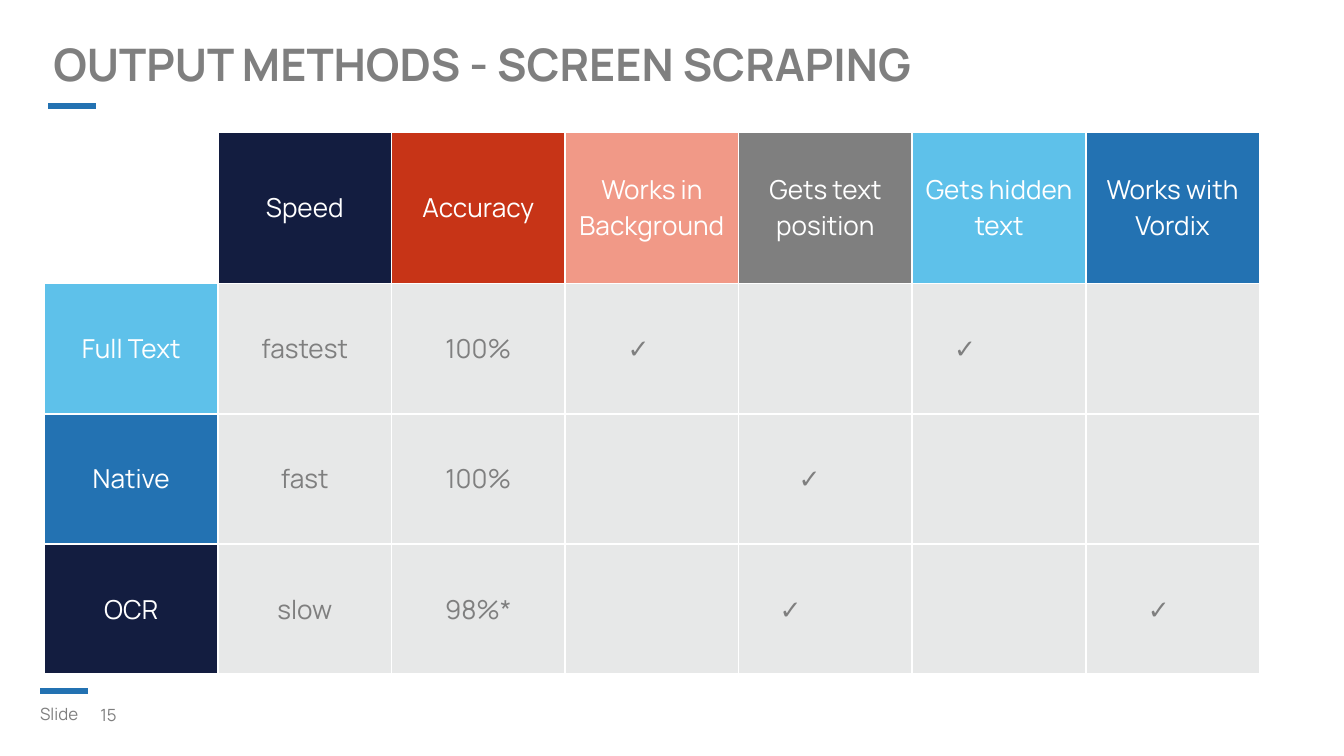
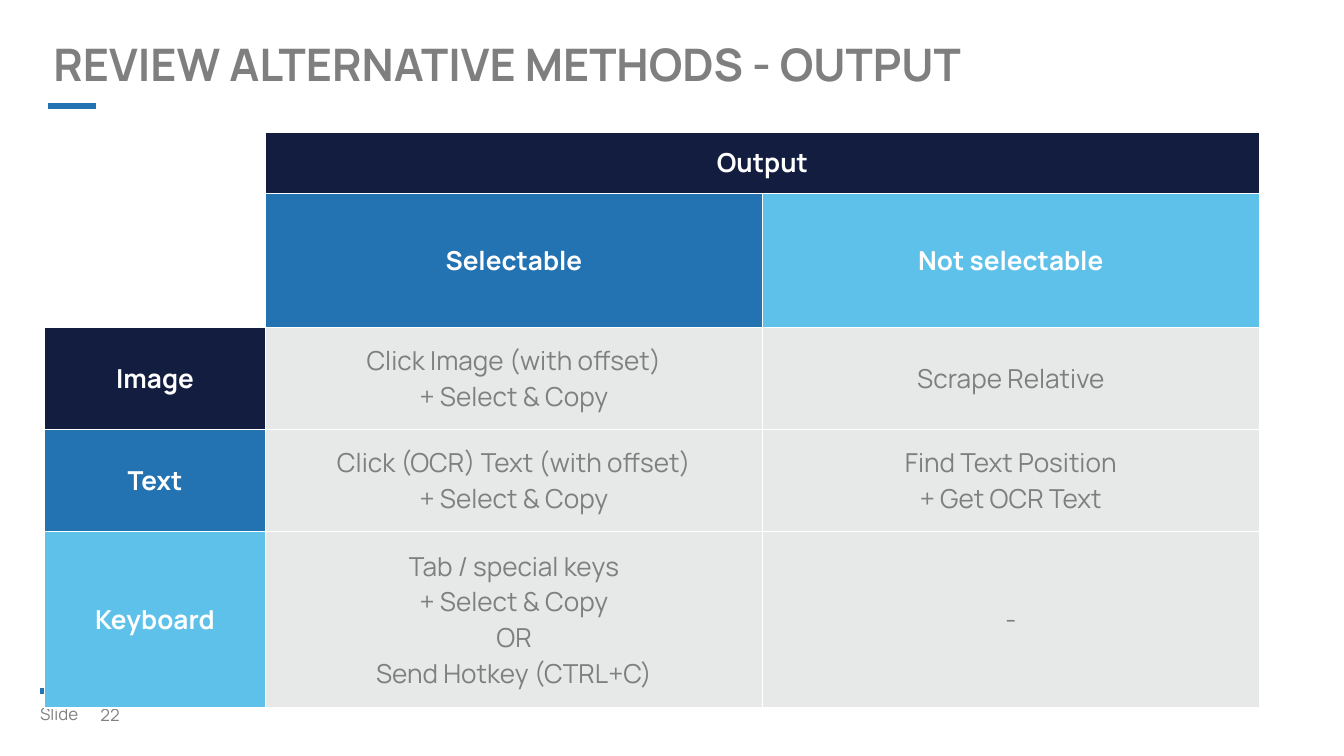
from dataclasses import dataclass

from lxml import etree
from pptx import Presentation
from pptx import util as u
from pptx.dml.color import RGBColor
from pptx.enum import shapes, text
from pptx.oxml import ns


@dataclass(frozen=True)
class Theme:
    font: str = "Manrope"
    white: str = "FFFFFF"
    navy: str = "131D40"
    blue: str = "2372B2"
    sky: str = "5EC1EA"
    red: str = "C73417"
    salmon: str = "F19987"
    grey: str = "7F7F7F"
    pale: str = "E7E8E8"
    title_size: int = 24
    table_size: int = 14
    footer_size: int = 9


THEME = Theme()
Cm = u.Cm
CELL_INSET = 0.25
TABLE_LEFT, TABLE_TOP = 0.84, 2.49
TICK = "✓"

# Headings pair a label with its fill. Body entries are labels; a tick is
# paired with how far it sits left of the column centre, in cm.
SCRAPING = {
    "title": "OUTPUT METHODS - SCREEN SCRAPING",
    "number": 15,
    "columns": [3.28] * 7,
    "rows": [2.87] + [2.46] * 3,
    "bold_headings": False,
    "merges": [],
    "headings": [
        [("", THEME.white), ("Speed", THEME.navy), ("Accuracy", THEME.red),
         ("Works in Background", THEME.salmon),
         ("Gets text position", THEME.grey),
         ("Gets hidden text", THEME.sky), ("Works with Vordix", THEME.blue)],
    ],
    "body": [
        (("Full Text", THEME.sky),
         ["fastest", "100%", (TICK, 0.25), "", (TICK, 0.64), ""]),
        (("Native", THEME.blue),
         ["fast", "100%", "", (TICK, 0.3), "", ""]),
        (("OCR", THEME.navy),
         ["slow", "98%*", "", (TICK, 0.66), "", (TICK, 0.26)]),
    ],
}

ALTERNATIVES = {
    "title": "REVIEW ALTERNATIVE METHODS - OUTPUT",
    "number": 22,
    "columns": [4.18, 9.39, 9.39],
    "rows": [1.17, 2.53, 1.93, 1.93, 3.33],
    "bold_headings": True,
    "merges": [((0, 0), (1, 0)), ((0, 1), (0, 2))],
    "headings": [
        [("", THEME.white), ("Output", THEME.navy), ("", THEME.navy)],
        [("", THEME.white), ("Selectable", THEME.blue),
         ("Not selectable", THEME.sky)],
    ],
    "body": [
        (("Image", THEME.navy),
         ["Click Image (with offset)\n+ Select & Copy", "Scrape Relative"]),
        (("Text", THEME.blue),
         ["Click (OCR) Text (with offset)\n+ Select & Copy",
          "Find Text Position\n+ Get OCR Text"]),
        (("Keyboard", THEME.sky),
         ["Tab / special keys\n+ Select & Copy\nOR\nSend Hotkey (CTRL+C)",
          "-"]),
    ],
}


def set_font(paragraph, size, color, bold=False):
    font = paragraph.font
    font.name, font.size, font.bold = THEME.font, u.Pt(size), bold
    font.color.rgb = RGBColor.from_string(color)


def add_label(slide, words, box, insets, size, bold=False, middle=False):
    """Add a one-line grey text box; insets are (horizontal, vertical) in cm."""
    frame = slide.shapes.add_textbox(*map(Cm, box)).text_frame
    frame.word_wrap = True
    frame.margin_left = frame.margin_right = Cm(insets[0])
    frame.margin_top = frame.margin_bottom = Cm(insets[1])
    frame.vertical_anchor = (text.MSO_ANCHOR.MIDDLE if middle
                             else text.MSO_ANCHOR.TOP)
    paragraph = frame.paragraphs[0]
    paragraph.text = words
    set_font(paragraph, size, THEME.grey, bold)
    return paragraph


def add_accent(slide, left, top, length=0.91):
    accent = slide.shapes.add_connector(
        shapes.MSO_CONNECTOR.STRAIGHT,
        Cm(left), Cm(top), Cm(left + length), Cm(top))
    accent.line.color.rgb = RGBColor.from_string(THEME.blue)
    accent.line.width = u.Pt(3)
    etree.SubElement(accent._element.spPr, ns.qn("a:effectLst"))


def add_frame(slide, title, number):
    """Add the title, the footer and their accent lines."""
    add_accent(slide, 0.76, 13.06)
    add_accent(slide, 0.91, 2.01)
    add_label(slide, str(number), (1.65, 13.16, 1.35, 0.69), (0.25, 0.13),
              THEME.footer_size, middle=True)
    add_label(slide, "Slide", (0.58, 13.2, 1.15, 0.58), (0.18, 0.1),
              THEME.footer_size)
    heading = add_label(slide, title, (0.76, 0.69, 19.76, 1.04), (0.25, 0.25),
                        THEME.title_size, bold=True)
    heading.line_spacing = 0.75


def add_borders(cell):
    properties = cell._tc.get_or_add_tcPr()
    for side in "LRTB":
        line = etree.SubElement(properties, ns.qn(f"a:ln{side}"),
                                w=str(u.Pt(1)))
        fill = etree.SubElement(line, ns.qn("a:solidFill"))
        etree.SubElement(fill, ns.qn("a:srgbClr"), val=THEME.white)


def fill_cell(cell, words, fill, color, bold=False, shift=0):
    """Write a centred cell; shift moves its text left, in cm."""
    add_borders(cell)
    cell.fill.solid()
    cell.fill.fore_color.rgb = RGBColor.from_string(fill)
    cell.vertical_anchor = text.MSO_ANCHOR.MIDDLE
    cell.margin_left = cell.margin_top = cell.margin_bottom = Cm(CELL_INSET)
    cell.margin_right = Cm(CELL_INSET + 2 * shift)
    cell.text = words
    for paragraph in cell.text_frame.paragraphs:
        paragraph.alignment = text.PP_ALIGN.CENTER
        set_font(paragraph, THEME.table_size, color, bold)


def add_matrix(slide, content):
    columns, rows = content["columns"], content["rows"]
    table = slide.shapes.add_table(
        len(rows), len(columns), Cm(TABLE_LEFT), Cm(TABLE_TOP),
        Cm(sum(columns)), Cm(sum(rows))).table
    table.first_row = table.horz_banding = False
    for column, width in zip(table.columns, columns):
        column.width = Cm(width)
    for row, height in zip(table.rows, rows):
        row.height = Cm(height)

    def fill_heading(row, column, heading):
        fill_cell(table.cell(row, column), *heading, THEME.white,
                  content["bold_headings"])

    for row, headings in enumerate(content["headings"]):
        for column, heading in enumerate(headings):
            fill_heading(row, column, heading)
    for row, (heading, entries) in enumerate(content["body"],
                                             len(content["headings"])):
        fill_heading(row, 0, heading)
        for column, entry in enumerate(entries, 1):
            words, shift = entry if isinstance(entry, tuple) else (entry, 0)
            fill_cell(table.cell(row, column), words, THEME.pale, THEME.grey,
                      shift=shift)
    for first, last in content["merges"]:
        table.cell(*first).merge(table.cell(*last))


def main():
    deck = Presentation()
    deck.slide_width, deck.slide_height = Cm(25.4), Cm(14.29)
    for content in (SCRAPING, ALTERNATIVES):
        slide = deck.slides.add_slide(deck.slide_layouts[6])
        add_frame(slide, content["title"], content["number"])
        add_matrix(slide, content)
    deck.save("out.pptx")


if __name__ == "__main__":
    main()
